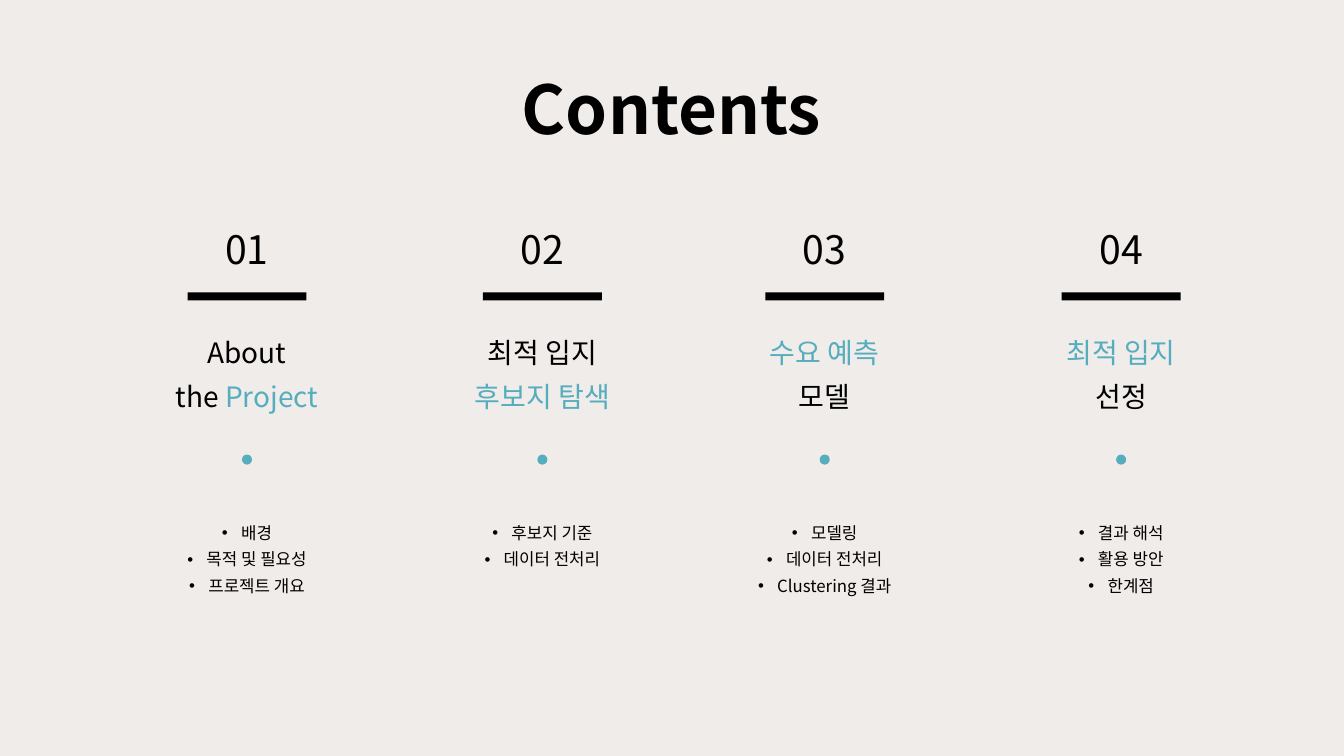
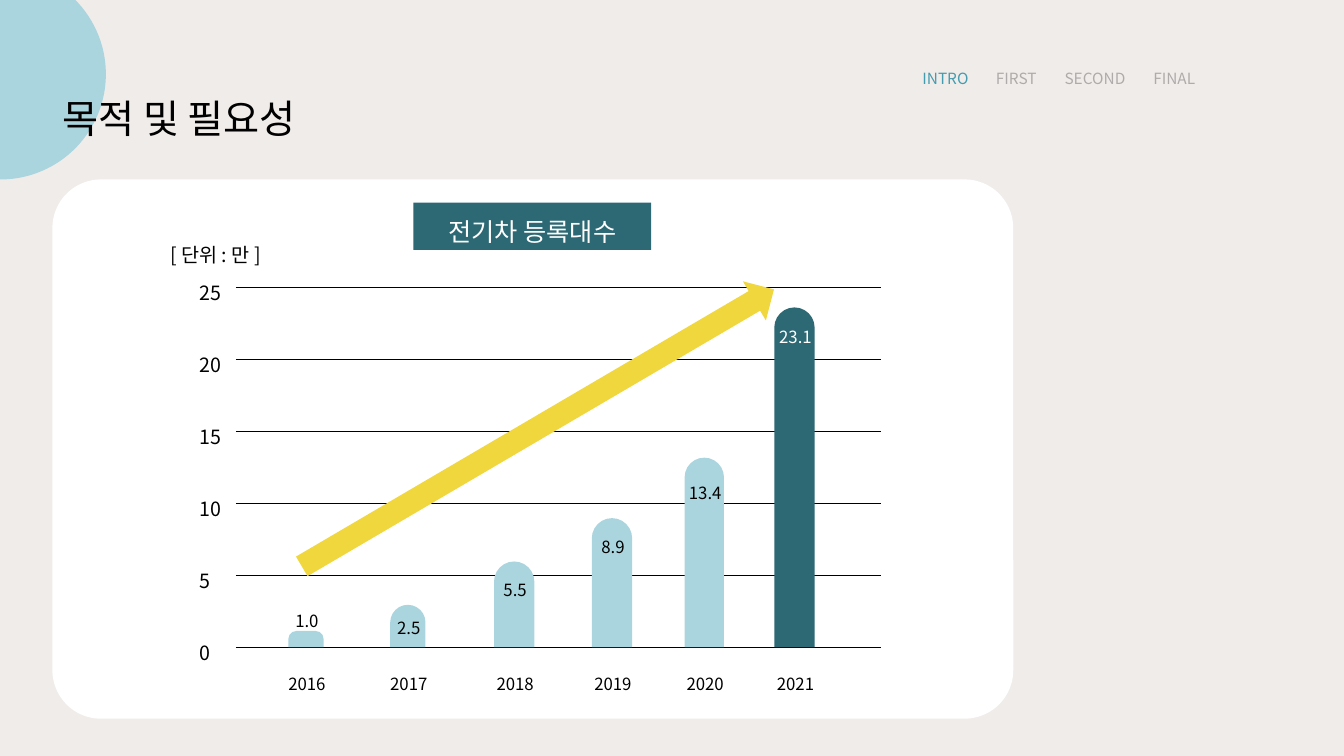
from lxml.etree import SubElement
from pptx import Presentation
from pptx.dml.color import RGBColor
from pptx.enum.shapes import MSO_CONNECTOR, MSO_SHAPE as Shape
from pptx.enum.text import MSO_ANCHOR, PP_ALIGN as Align
from pptx.oxml.ns import qn
from pptx.util import Inches, Pt

# Shared style
FONT = "Noto Sans CJK KR"
PAPER = RGBColor(0xF0, 0xEC, 0xE9)
BLACK = RGBColor(0, 0, 0)
WHITE = RGBColor(0xFF, 0xFF, 0xFF)
GREY = RGBColor(0xAF, 0xAB, 0xAB)
TEAL = RGBColor(0x56, 0xAD, 0xBE)
NAV_TEAL = RGBColor(0x44, 0x9C, 0xAF)
PALE_TEAL = RGBColor(0xAA, 0xD5, 0xDE)
DARK_TEAL = RGBColor(0x2D, 0x69, 0x75)
YELLOW = RGBColor(0xF0, 0xD7, 0x3E)
LOOSE = 1.3

# Contents: centre, number, heading lines, topics
CHAPTERS = [
    (2.45, "01", [[("About", BLACK)], [("the", BLACK), (" Project", TEAL)]],
     ["배경", "목적 및 필요성", "프로젝트 개요"]),
    (5.38, "02", [[("최적 입지", BLACK)], [("후보지 탐색", TEAL)]],
     ["후보지 기준", "데이터 전처리"]),
    (8.18, "03", [[("수요 예측", TEAL)], [("모델", BLACK)]],
     ["모델링", "데이터 전처리", "Clustering 결과"]),
    (11.12, "04", [[("최적 입지", TEAL)], [("선정", BLACK)]],
     ["결과 해석", "활용 방안", "한계점"]),
]

# Bars: year, value, left in plot, width, height, label offset from bar top
BARS = [
    ("2016", "1.0", 0.52, 0.35, 0.16, -0.31),
    ("2017", "2.5", 1.53, 0.35, 0.42, 0.02),
    ("2018", "5.5", 2.56, 0.40, 0.85, 0.07),
    ("2019", "8.9", 3.53, 0.40, 1.28, 0.08),
    ("2020", "13.4", 4.45, 0.39, 1.88, 0.14),
    ("2021", "23.1", 5.34, 0.40, 3.37, 0.08),
]


def inches(box):
    return [Inches(length) for length in box]


def add_page(deck):
    page = deck.slides.add_slide(deck.slide_layouts[6])
    page.background.fill.solid()
    page.background.fill.fore_color.rgb = PAPER
    return page


def fill_text(frame, lines, size, align=Align.LEFT, spacing=LOOSE, bold=False):
    """Write lines, each a list of (text, colour) spans."""
    frame.vertical_anchor = MSO_ANCHOR.TOP
    for index, line in enumerate(lines):
        para = frame.paragraphs[0] if index == 0 else frame.add_paragraph()
        para.alignment = align
        para.line_spacing = spacing
        for text, colour in line:
            span = para.add_run()
            span.text = text
            span.font.name = FONT
            span.font.size = Pt(size)
            span.font.bold = bold
            span.font.color.rgb = colour
            east_asian = SubElement(span.font._element, qn("a:ea"))
            east_asian.set("typeface", FONT)


def add_text(page, box, lines, size, **style):
    frame = page.shapes.add_textbox(*inches(box)).text_frame
    frame.word_wrap = True
    fill_text(frame, lines, size, **style)
    return frame


def add_block(page, kind, box, colour):
    block = page.shapes.add_shape(kind, *inches(box))
    block.shadow.inherit = False
    block.fill.solid()
    block.fill.fore_color.rgb = colour
    block.line.fill.background()
    return block


def add_rule(page, left, right, y):
    rule = page.shapes.add_connector(
        MSO_CONNECTOR.STRAIGHT, Inches(left), Inches(y), Inches(right), Inches(y))
    rule.line.color.rgb = BLACK
    rule.line.width = Pt(0.5)
    SubElement(rule._element.spPr, qn("a:effectLst"))


def add_bullets(frame):
    for para in frame.paragraphs:
        settings = para._p.get_or_add_pPr()
        settings.set("marL", str(Inches(0.19)))
        settings.set("indent", str(-Inches(0.19)))
        SubElement(settings, qn("a:buFont")).set("typeface", "Arial")
        SubElement(settings, qn("a:buChar")).set("char", "•")


def add_chapter(page, box, number, heading, topics):
    left, top, width, _ = box
    middle = left + width / 2
    add_text(page, (left, top, width, 0.57), [[(number, BLACK)]], 28,
             align=Align.CENTER, spacing=1.0)
    add_block(page, Shape.RECTANGLE, (middle - 0.59, top + 0.71, 1.18, 0.08), BLACK)
    add_text(page, (left, top + 0.99, width, 0.95), heading, 20, align=Align.CENTER)
    add_block(page, Shape.OVAL, (middle - 0.05, top + 2.32, 0.1, 0.1), TEAL)
    add_bullets(add_text(page, (left, top + 2.89, width, 0.87),
                         [[(topic, BLACK)] for topic in topics], 12,
                         align=Align.CENTER))


def build_contents(deck):
    page = add_page(deck)
    add_text(page, (4.96, 0.62, 3.4, 0.91), [[("Contents", BLACK)]], 48,
             align=Align.CENTER, spacing=1.0, bold=True)
    for middle, number, heading, topics in CHAPTERS:
        add_chapter(page, (middle - 1, 2.19, 2, 3.76), number, heading, topics)


def add_header(page, title):
    add_block(page, Shape.OVAL, (-1.04, -0.31, 2.09, 2.09), PALE_TEAL)
    add_text(page, (0.52, 0.75, 4, 0.68), [[(title, BLACK)]], 28)


def add_navigation(page, box, sections, current):
    """Set the section names on tab stops, the current one coloured."""
    names = [(("\t" if index else "") + name, NAV_TEAL if name == current else GREY)
             for index, (name, _) in enumerate(sections)]
    frame = add_text(page, box, [names], 11)
    tabs = SubElement(frame.paragraphs[0]._p.get_or_add_pPr(), qn("a:tabLst"))
    for _, stop in sections[1:]:
        tab = SubElement(tabs, qn("a:tab"))
        tab.set("pos", str(Inches(stop)))
        tab.set("algn", "l")


def add_bar_plot(page, box):
    left, top, width, height = box
    base = top + height

    # Scale
    for step in range(6):
        y = base - height * step / 5
        add_rule(page, left, left + width, y)
        add_text(page, (left - 0.46, y - 0.18, 0.58, 0.39),
                 [[(str(step * 5), BLACK)]], 14)
    add_text(page, (left - 0.75, top - 0.56, 1.38, 0.39),
             [[("[ 단위 : 만 ]", BLACK)]], 14)

    # Bars with values and years
    for year, value, offset, bar_width, bar_height, label_offset in BARS:
        latest = year == BARS[-1][0]
        bar_left, bar_top = left + offset, base - bar_height
        bar = add_block(page, Shape.ROUND_2_SAME_RECTANGLE,
                        (bar_left, bar_top, bar_width, bar_height),
                        DARK_TEAL if latest else PALE_TEAL)
        bar.adjustments[0] = 0.5
        label_left = bar_left + bar_width / 2 - 0.44
        labels = [(value, bar_top + label_offset, WHITE if latest else BLACK),
                  (year, base + 0.15, BLACK)]
        for text, y, colour in labels:
            add_text(page, (label_left, y, 0.9, 0.35), [[(text, colour)]], 12,
                     align=Align.CENTER)


def add_registration_card(page, box):
    left, top, width, height = box
    card = add_block(page, Shape.ROUNDED_RECTANGLE, box, WHITE)
    card.adjustments[0] = 0.09
    add_bar_plot(page, (left + 1.82, top + 1.07, 6.4, 3.57))
    banner = add_block(page, Shape.RECTANGLE, (left + 3.58, top + 0.23, 2.36, 0.47),
                       DARK_TEAL)
    fill_text(banner.text_frame, [[("전기차 등록대수", WHITE)]], 18, align=Align.CENTER)
    trend = add_block(page, Shape.RIGHT_ARROW, (left + 2.1, top + 2.24, 5.43, 0.45),
                      YELLOW)
    trend.rotation = 329.6


def build_purpose(deck):
    page = add_page(deck)
    add_header(page, "목적 및 필요성")
    add_registration_card(page, (0.52, 1.78, 9.53, 5.35))
    sections = [("INTRO", 0), ("FIRST", 0.73), ("SECOND", 1.41), ("FINAL", 2.29)]
    add_navigation(page, (9.05, 0.58, 3.66, 0.33), sections, "INTRO")


def main():
    deck = Presentation()
    deck.slide_width, deck.slide_height = Inches(13.33), Inches(7.5)
    build_contents(deck)
    build_purpose(deck)
    deck.save("out.pptx")


if __name__ == "__main__":
    main()
